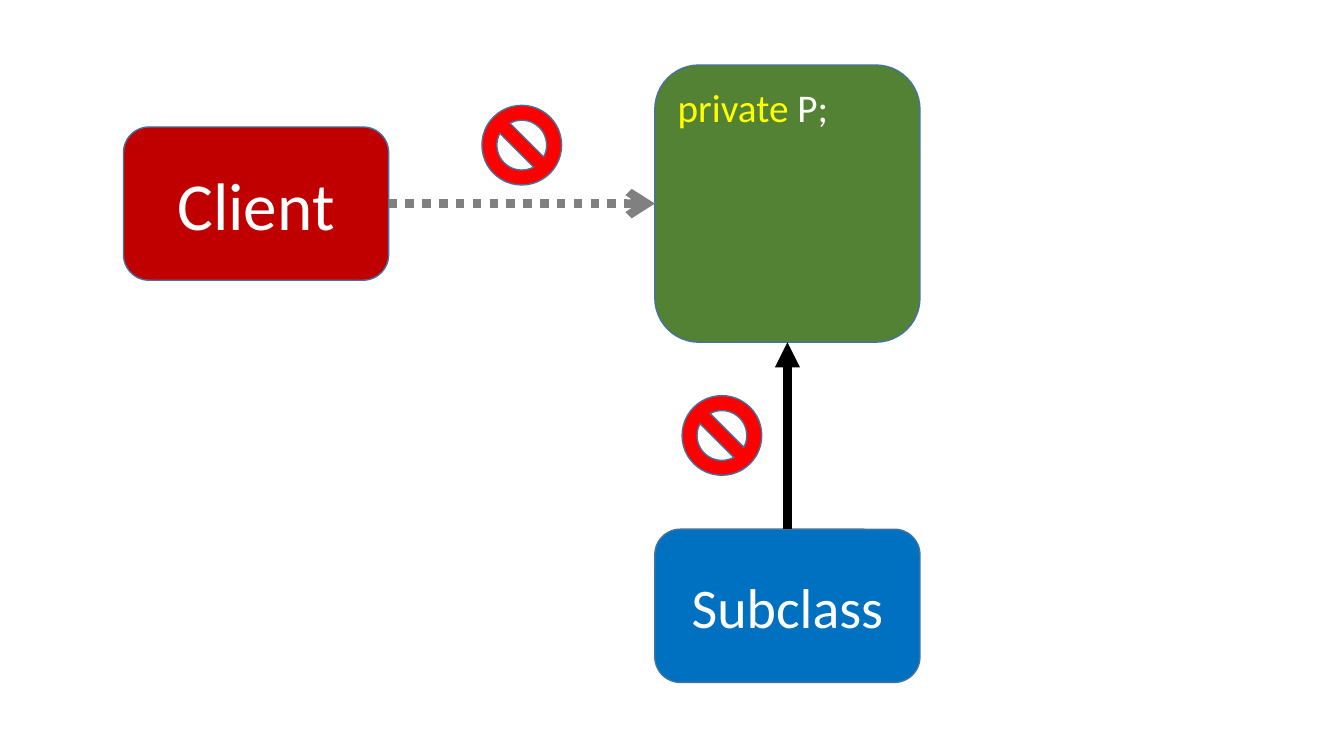
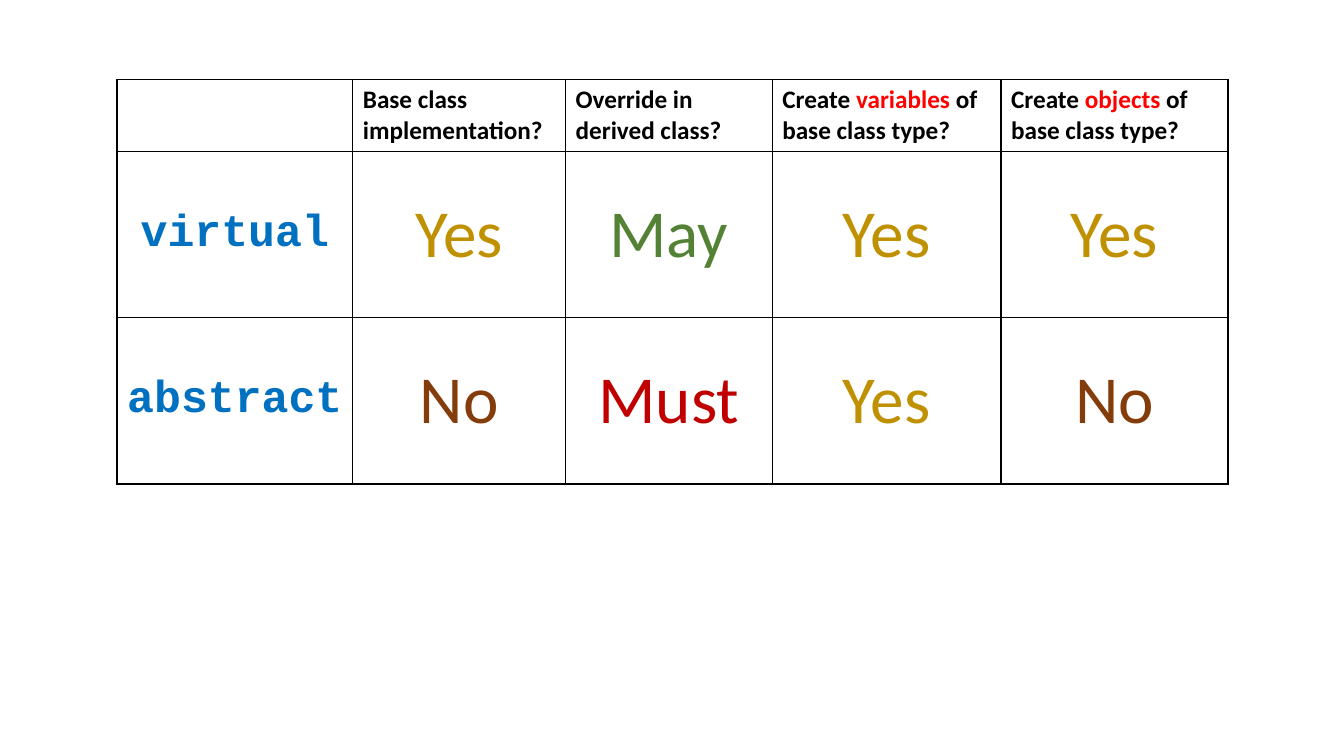
from lxml import etree
from pptx import Presentation
from pptx.dml.color import RGBColor
from pptx.enum.dml import MSO_LINE
from pptx.enum.shapes import MSO_CONNECTOR, MSO_SHAPE
from pptx.enum.text import MSO_ANCHOR, PP_ALIGN
from pptx.oxml.ns import qn
from pptx.util import Inches, Pt

BOX = MSO_SHAPE.ROUNDED_RECTANGLE
NO_ENTRY = MSO_SHAPE.NO_SYMBOL
STRAIGHT = MSO_CONNECTOR.STRAIGHT
DOTTED = MSO_LINE.ROUND_DOT
TOP, MIDDLE = MSO_ANCHOR.TOP, MSO_ANCHOR.MIDDLE
LEFT, CENTER = PP_ALIGN.LEFT, PP_ALIGN.CENTER
TOP_SITE, LEFT_SITE, BOTTOM_SITE, RIGHT_SITE = range(4)

BODY_FONT, CODE_FONT = "Calibri", "Courier New"
WHITE, BLACK, GRAY = "FFFFFF", "000000", "808080"
RED, DARK_RED, YELLOW = "FF0000", "C00000", "FFFF00"
BLUE, GREEN, OUTLINE = "0070C0", "548235", "43739E"
GOLD, BROWN = "BF9000", "843C0B"

SLIDE_WIDTH, SLIDE_HEIGHT = 13.33, 7.5
BLANK_LAYOUT = 6
CLIENT_X, CLASS_X = 2.54, 7.81
CLASS_Y, SUBCLASS_Y = 2.02, 6.01
BOX_WIDTH, BOX_HEIGHT, CLASS_HEIGHT = 2.63, 1.52, 2.75
SIGN_SIZE = 0.79

TABLE_LEFT, TABLE_TOP = 1.16, 0.79
COLUMN_WIDTHS = [2.34, 2.11, 2.05, 2.27, 2.25]
ROW_HEIGHTS = [0.71, 1.65, 1.65]
HEADERS = [
    [],
    [[("Base class", BLACK)], [("implementation?", BLACK)]],
    [[("Override in derived class?", BLACK)]],
    [[("Create ", BLACK), ("variables", RED), (" of base class type?", BLACK)]],
    [[("Create ", BLACK), ("objects", RED), (" of base class type?", BLACK)]],
]
ANSWERS = {
    "virtual": ["Yes", "May", "Yes", "Yes"],
    "abstract": ["No", "Must", "Yes", "No"],
}
ANSWER_COLORS = {"Yes": GOLD, "No": BROWN, "May": GREEN, "Must": DARK_RED}


def color(hex_value):
    return RGBColor.from_string(hex_value)


def write(text_frame, paragraphs, size, font=BODY_FONT, bold=False, align=LEFT):
    for index, parts in enumerate(paragraphs):
        paragraph = text_frame.add_paragraph() if index else text_frame.paragraphs[0]
        paragraph.alignment = align
        for text, hex_value in parts:
            run = paragraph.add_run()
            run.text = text
            run.font.name = font
            run.font.size = Pt(size)
            run.font.bold = bold
            run.font.color.rgb = color(hex_value)


def add_centered_shape(slide, kind, center_x, center_y, width, height, fill):
    shape = slide.shapes.add_shape(
        kind, Inches(center_x - width / 2), Inches(center_y - height / 2),
        Inches(width), Inches(height))
    shape.shadow.inherit = False
    shape.fill.solid()
    shape.fill.fore_color.rgb = color(fill)
    shape.line.color.rgb = color(OUTLINE)
    shape.line.width = Pt(1)
    return shape


def add_box(slide, center_x, center_y, height, fill, parts, size,
            anchor=MIDDLE, align=CENTER):
    box = add_centered_shape(slide, BOX, center_x, center_y, BOX_WIDTH, height, fill)
    box.text_frame.vertical_anchor = anchor
    write(box.text_frame, [parts], size, align=align)
    return box


def add_no_entry(slide, center_x, center_y):
    add_centered_shape(slide, NO_ENTRY, center_x, center_y, SIGN_SIZE, SIGN_SIZE, RED)


def add_arrow(slide, start, start_site, end, end_site, hex_value, head, dash=None):
    arrow = slide.shapes.add_connector(STRAIGHT, 0, 0, 0, 0)
    arrow.begin_connect(start, start_site)
    arrow.end_connect(end, end_site)
    arrow.line.color.rgb = color(hex_value)
    arrow.line.width = Pt(6)
    if dash:
        arrow.line.dash_style = dash
    etree.SubElement(arrow.line._get_or_add_ln(), qn("a:tailEnd"), type=head)
    etree.SubElement(arrow._element.spPr, qn("a:effectLst"))


def format_cell(cell, anchor):
    cell.vertical_anchor = anchor
    properties = cell._tc.get_or_add_tcPr()
    for side in ("a:lnL", "a:lnR", "a:lnT", "a:lnB"):
        border = etree.SubElement(properties, qn(side), w=str(Pt(1)))
        fill = etree.SubElement(border, qn("a:solidFill"))
        etree.SubElement(fill, qn("a:srgbClr"), val=BLACK)
    cell.fill.background()


def add_access_slide(presentation):
    slide = presentation.slides.add_slide(presentation.slide_layouts[BLANK_LAYOUT])
    subclass = add_box(slide, CLASS_X, SUBCLASS_Y, BOX_HEIGHT, BLUE,
                       [("Subclass", WHITE)], 40)
    client = add_box(slide, CLIENT_X, CLASS_Y, BOX_HEIGHT, DARK_RED,
                     [("Client", WHITE)], 48)
    base_class = add_box(slide, CLASS_X, CLASS_Y, CLASS_HEIGHT, GREEN,
                         [("private", YELLOW), (" P;", WHITE)], 28, TOP, LEFT)
    add_arrow(slide, client, RIGHT_SITE, base_class, LEFT_SITE, GRAY, "arrow", DOTTED)
    add_arrow(slide, subclass, TOP_SITE, base_class, BOTTOM_SITE, BLACK, "triangle")
    add_no_entry(slide, (CLIENT_X + CLASS_X) / 2, 1.44)
    add_no_entry(slide, 7.16, 4.32)


def add_comparison_slide(presentation):
    slide = presentation.slides.add_slide(presentation.slide_layouts[BLANK_LAYOUT])
    table = slide.shapes.add_table(
        len(ROW_HEIGHTS), len(COLUMN_WIDTHS), Inches(TABLE_LEFT), Inches(TABLE_TOP),
        Inches(sum(COLUMN_WIDTHS)), Inches(sum(ROW_HEIGHTS))).table
    table.first_row = False
    table.horz_banding = False
    for column, width in zip(table.columns, COLUMN_WIDTHS):
        column.width = Inches(width)
    for row, height in zip(table.rows, ROW_HEIGHTS):
        row.height = Inches(height)

    for column_index, header in enumerate(HEADERS):
        cell = table.cell(0, column_index)
        format_cell(cell, TOP)
        write(cell.text_frame, header, 18, bold=True)
    for row_index, (keyword, answers) in enumerate(ANSWERS.items(), 1):
        cell = table.cell(row_index, 0)
        format_cell(cell, MIDDLE)
        write(cell.text_frame, [[(keyword, BLUE)]], 32, CODE_FONT, True, CENTER)
        for column_index, answer in enumerate(answers, 1):
            cell = table.cell(row_index, column_index)
            format_cell(cell, MIDDLE)
            write(cell.text_frame, [[(answer, ANSWER_COLORS[answer])]], 48, align=CENTER)


def main():
    presentation = Presentation()
    presentation.slide_width = Inches(SLIDE_WIDTH)
    presentation.slide_height = Inches(SLIDE_HEIGHT)
    add_access_slide(presentation)
    add_comparison_slide(presentation)
    presentation.save("out.pptx")


main()
